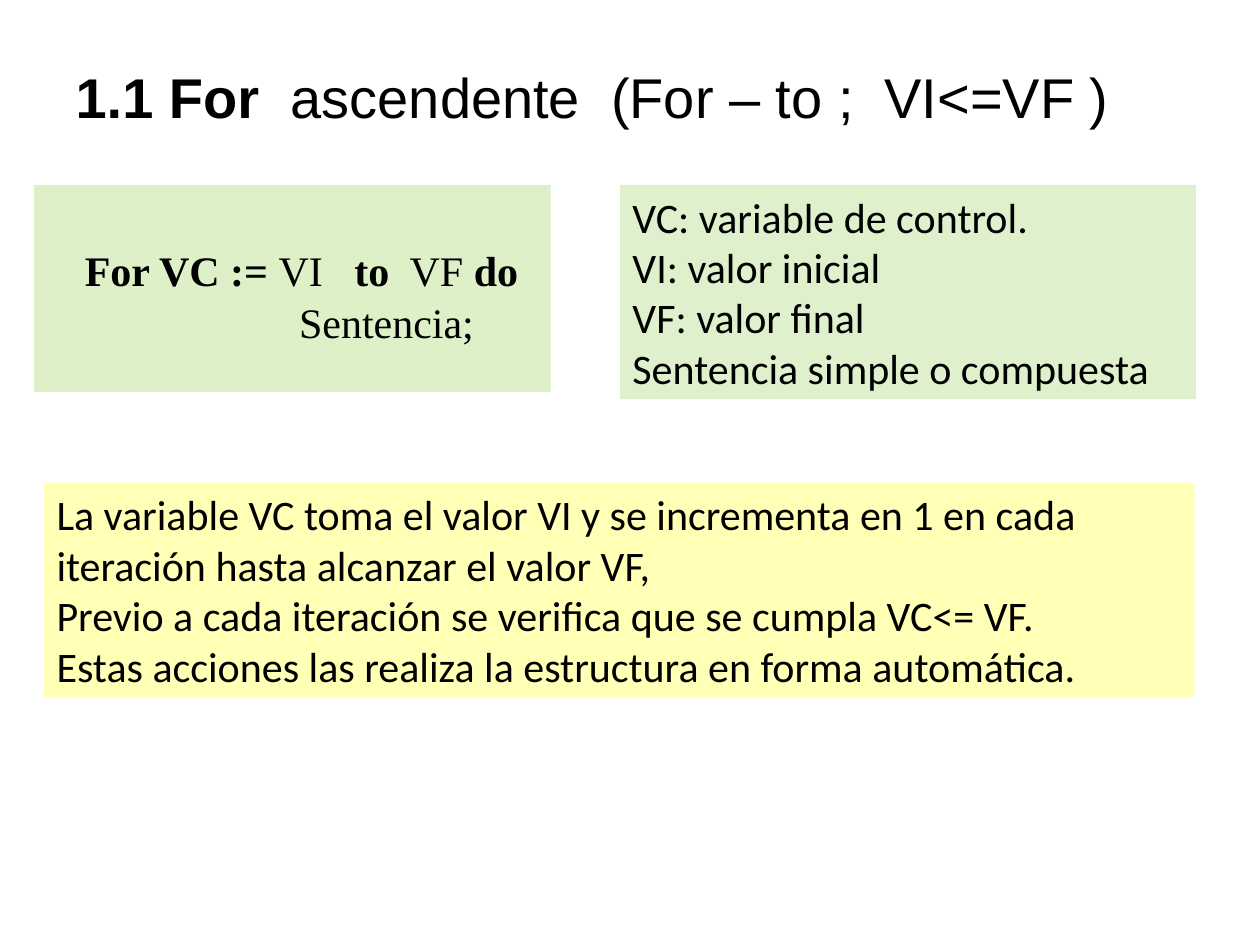
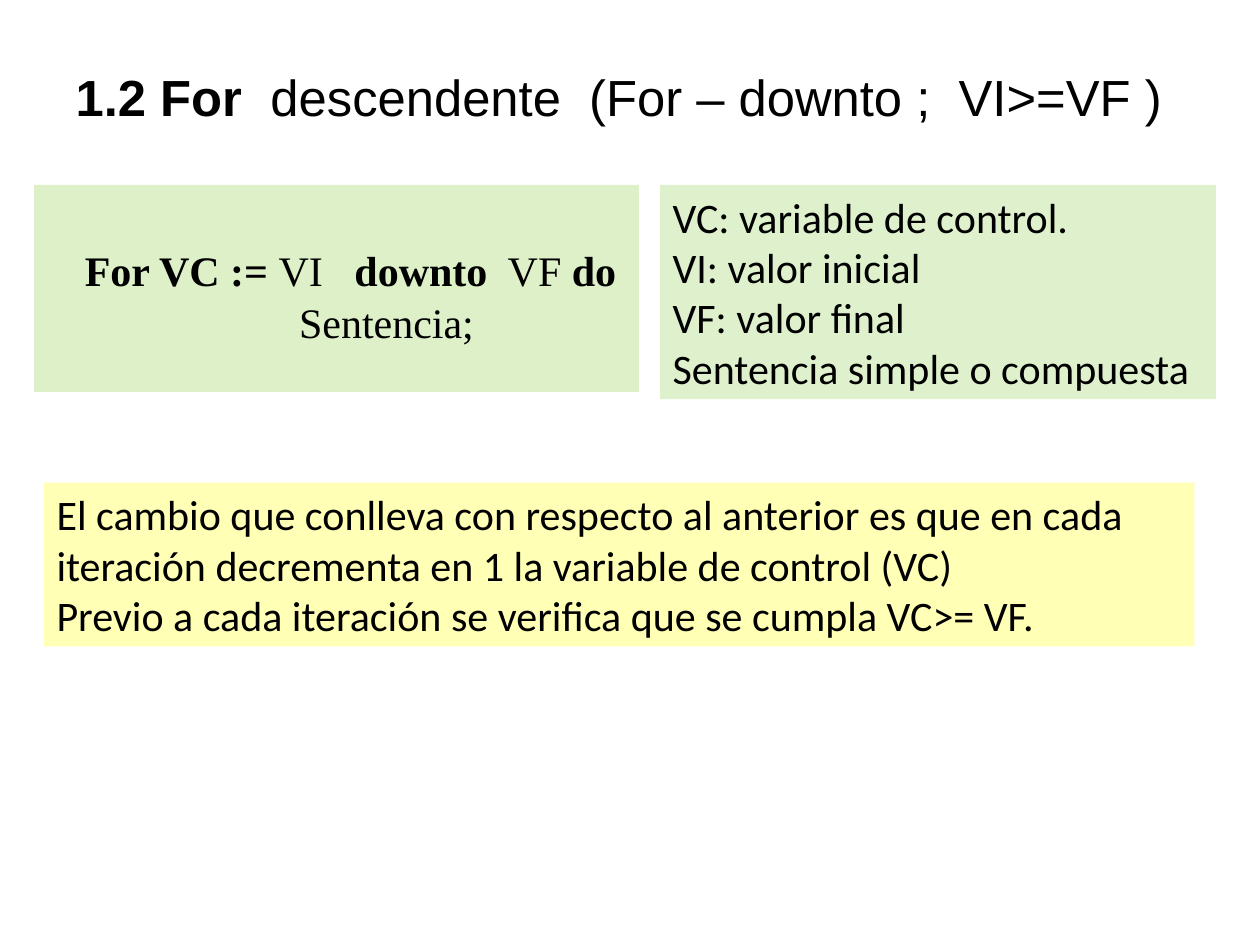
import pptx
import pptx.dml.color
import pptx.enum.shapes
import pptx.enum.text
import pptx.oxml
import pptx.oxml.ns
import pptx.util
from pptx.util import Cm, Pt

# Shared look
BLACK = pptx.dml.color.RGBColor(0x00, 0x00, 0x00)
GREEN = pptx.dml.color.RGBColor(0x92, 0xD0, 0x50)
YELLOW = pptx.dml.color.RGBColor(0xFF, 0xFF, 0x00)
TITLE_FONT, BODY_FONT, CODE_FONT = "Arial", "Calibri", "Times New Roman"
BODY_SIZE = 24

# Shared positions in centimetres
BOX_TOP = 3.73
CODE_LEFT, CODE_HEIGHT = 0.69, 4.17
NOTE_LEFT, NOTE_TOP, NOTE_WIDTH = 0.89, 9.73, 23.19
LEGEND_HEIGHT = 4.32

LEGEND = ["VC: variable de control.", "VI: valor inicial",
          "VF: valor final", "Sentencia simple o compuesta"]


def add_runs(paragraph, pieces, font_name, size):
    """Add (text, bold) pieces to a paragraph in one font."""
    for text, bold in pieces:
        run = paragraph.add_run()
        run.text = text
        run.font.name = font_name
        run.font.size = Pt(size)
        run.font.bold = bold
        run.font.color.rgb = BLACK


def add_title(slide, number, rest, size):
    title = slide.shapes.title
    title.left, title.top, title.width, title.height = Cm(1.27), Cm(0.76), Cm(22.86), Cm(2.36)
    title.text_frame.vertical_anchor = pptx.enum.text.MSO_ANCHOR.MIDDLE
    paragraph = title.text_frame.paragraphs[0]
    paragraph.alignment = pptx.enum.text.PP_ALIGN.LEFT
    add_runs(paragraph, [(number + "  ", True), (rest, False)], TITLE_FONT, size)


def add_box(slide, left, top, width, height, color, opacity):
    """Add a translucent rectangle and return its text frame."""
    shape = slide.shapes.add_shape(pptx.enum.shapes.MSO_SHAPE.RECTANGLE,
                                   Cm(left), Cm(top), Cm(width), Cm(height))
    shape.shadow.inherit = False
    shape.line.fill.background()
    shape.fill.solid()
    shape.fill.fore_color.rgb = color
    color_element = shape.fill._xPr.find(".//" + pptx.oxml.ns.qn("a:srgbClr"))
    alpha = pptx.oxml.parse_xml(
        f'<a:alpha {pptx.oxml.ns.nsdecls("a")} val="{opacity * 1000}"/>')
    color_element.append(alpha)
    text_frame = shape.text_frame
    text_frame.word_wrap = True
    text_frame.vertical_anchor = pptx.enum.text.MSO_ANCHOR.TOP
    return text_frame


def add_text_box(slide, left, top, width, height, color, lines):
    text_frame = add_box(slide, left, top, width, height, color, 29)
    for index, line in enumerate(lines):
        paragraph = text_frame.add_paragraph() if index else text_frame.paragraphs[0]
        paragraph.alignment = pptx.enum.text.PP_ALIGN.LEFT
        add_runs(paragraph, [(line, False)], BODY_FONT, BODY_SIZE)


def add_syntax_box(slide, width, keyword):
    text_frame = add_box(slide, CODE_LEFT, BOX_TOP, width, CODE_HEIGHT, GREEN, 31)
    text_frame.margin_left, text_frame.margin_top = Cm(1.02), Cm(1.19)
    header = text_frame.paragraphs[0]
    add_runs(header, [("For VC := ", True), ("VI   ", False), (keyword, True),
                      ("  VF ", False), ("do", True)], CODE_FONT, BODY_SIZE)
    statement = text_frame.add_paragraph()
    statement.space_before = Pt(1)
    statement._p.get_or_add_pPr().set("marL", str(Cm(4.32)))
    add_runs(statement, [("Sentencia;", False)], CODE_FONT, BODY_SIZE)
    for paragraph in (header, statement):
        paragraph.alignment = pptx.enum.text.PP_ALIGN.LEFT


def add_loop_slide(presentation, title, syntax, legend_place, notes, notes_height):
    """Build one slide: title, syntax, legend and explanation."""
    slide = presentation.slides.add_slide(presentation.slide_layouts[5])
    add_title(slide, *title)
    add_syntax_box(slide, *syntax)
    legend_left, legend_width = legend_place
    add_text_box(slide, legend_left, BOX_TOP, legend_width, LEGEND_HEIGHT, GREEN, LEGEND)
    add_text_box(slide, NOTE_LEFT, NOTE_TOP, NOTE_WIDTH, notes_height, YELLOW, notes)


def main():
    presentation = pptx.Presentation()
    presentation.slide_width, presentation.slide_height = Cm(25.4), Cm(19.05)

    # Ascending loop
    add_loop_slide(
        presentation,
        title=("1.1 For", "ascendente  (For – to ;  VI<=VF )", 32),
        syntax=(10.41, "to"),
        legend_place=(12.5, 11.61),
        notes=["La variable VC toma el valor VI y se incrementa en 1 en cada "
               "iteración hasta alcanzar el valor VF,",
               "Previo a cada iteración se verifica que se cumpla VC<= VF.",
               "Estas acciones las realiza la estructura en forma automática."],
        notes_height=4.32)

    # Descending loop
    add_loop_slide(
        presentation,
        title=("1.2 For", "descendente  (For – downto ;  VI>=VF )", 29),
        syntax=(12.19, "downto"),
        legend_place=(13.31, 11.2),
        notes=["El cambio que conlleva con respecto al anterior es que en cada "
               "iteración decrementa en 1 la variable de control (VC)",
               "Previo a cada iteración se verifica que se cumpla VC>= VF."],
        notes_height=3.3)

    presentation.save("out.pptx")


if __name__ == "__main__":
    main()
